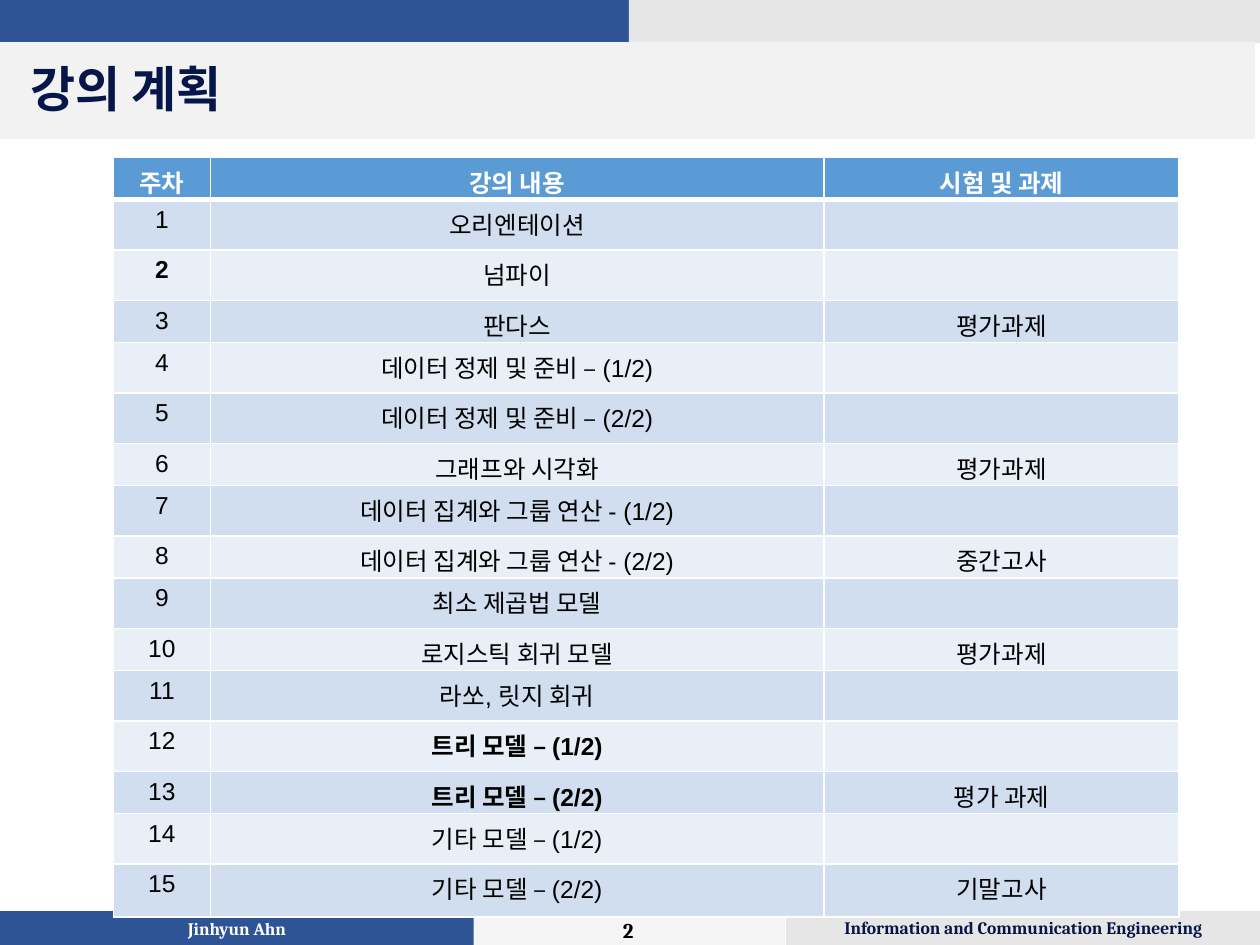
from lxml import etree
from pptx import Presentation
from pptx import util as u
from pptx.dml import color
from pptx.enum import shapes, text
from pptx.oxml import ns

# Content
TITLE = "강의 계획"
AUTHOR = "Jinhyun Ahn"
PAGE = "2"
DEPARTMENT = "Information and Communication Engineering"
HEADINGS = ("주차", "강의 내용", "시험 및 과제")
WEEKS = [  # topic, exam or assignment
    ("오리엔테이션", ""),
    ("넘파이", ""),
    ("판다스", "평가과제"),
    ("데이터 정제 및 준비 – (1/2)", ""),
    ("데이터 정제 및 준비 – (2/2)", ""),
    ("그래프와 시각화", "평가과제"),
    ("데이터 집계와 그룹 연산 - (1/2)", ""),
    ("데이터 집계와 그룹 연산 - (2/2)", "중간고사"),
    ("최소 제곱법 모델", ""),
    ("로지스틱 회귀 모델", "평가과제"),
    ("라쏘, 릿지 회귀", ""),
    ("트리 모델 – (1/2)", ""),
    ("트리 모델 – (2/2)", "평가 과제"),
    ("기타 모델 – (1/2)", ""),
    ("기타 모델 – (2/2)", "기말고사"),
]
BOLD_CELLS = {(2, 0), (12, 1), (13, 1)}  # week, column

THEME = {
    "blue": "2F5496", "grey": "E6E6E6", "pale": "F5F5F5", "band": "F2F2F2",
    "navy": "071648", "white": "FFFFFF", "black": "000000",
    "header": "5B9BD5", "rows": ("E9EFF7", "D0DEEF"),
    "display": "Cambria", "body": "Arial",
    "title_size": 28, "page_size": 12, "footer_size": 10, "table_size": 14,
}

# Layout
BARS = [  # box, fill, outlined
    ((0, 0, 4.99, 0.34), "blue", True),
    ((4.99, 0, 5.01, 0.34), "grey", False),
    ((0, 7.24, 3.76, 0.27), "blue", True),
    ((6.24, 7.23, 3.76, 0.27), "grey", False),
    ((3.76, 7.24, 2.47, 0.26), "pale", False),
    ((0, 0.34, 9.95, 0.76), "band", True),
]
MIDDLE, TOP = text.MSO_ANCHOR.MIDDLE, text.MSO_ANCHOR.TOP
LEFT, CENTER = text.PP_ALIGN.LEFT, text.PP_ALIGN.CENTER
LABELS = [  # text, box, size, colour, anchor, paragraph format
    (DEPARTMENT, (6.24, 7.23, 3.76, 0.27), "footer_size", "navy", MIDDLE,
     {"alignment": CENTER}),
    (TITLE, (0.14, 0.35, 9.86, 0.75), "title_size", "navy", MIDDLE,
     {"alignment": LEFT, "line_spacing": 0.9}),
    (PAGE, (3.86, 7.26, 2.25, 0.24), "page_size", "black", MIDDLE,
     {"alignment": CENTER}),
    (AUTHOR, (0, 7.24, 3.76, 0.27), "footer_size", "white", TOP,
     {"alignment": CENTER}),
]
TABLE_LEFT, TABLE_TOP = 0.9, 1.25
COLUMNS = (0.77, 4.87, 2.82)
ROW_HEIGHT, LAST_ROW_HEIGHT = 0.32, 0.42


def rgb(value):
    return color.RGBColor.from_string(value)


def inches(box):
    return [u.Inches(length) for length in box]


def set_all(target, values):
    for name, value in values.items():
        setattr(target, name, value)


def write(paragraph, words, font, size, colour, bold, layout):
    run = paragraph.add_run()
    run.text = words
    set_all(run.font, {"name": THEME[font], "size": u.Pt(THEME[size]), "bold": bold})
    run.font.color.rgb = rgb(THEME[colour])
    set_all(paragraph, layout)


def add_bar(slide, box, fill, outlined):
    shape = slide.shapes.add_shape(shapes.MSO_SHAPE.RECTANGLE, *inches(box))
    shape.shadow.inherit = False
    shape.fill.solid()
    shape.fill.fore_color.rgb = rgb(THEME[fill])
    if outlined:
        shape.line.color.rgb = rgb(THEME[fill])
        shape.line.width = u.Pt(1)
    else:
        shape.line.fill.background()


def add_label(slide, words, box, size, colour, anchor, layout):
    frame = slide.shapes.add_textbox(*inches(box)).text_frame
    set_all(frame, {"word_wrap": True, "vertical_anchor": anchor})
    write(frame.paragraphs[0], words, "display", size, colour, True, layout)


def add_borders(cell, bottom):
    properties = cell._tc.get_or_add_tcPr()
    for side, points in {"L": 1, "R": 1, "T": 1, "B": bottom}.items():
        line = etree.SubElement(properties, ns.qn(f"a:ln{side}"), w=str(u.Pt(points)))
        fill = etree.SubElement(line, ns.qn("a:solidFill"))
        etree.SubElement(fill, ns.qn("a:srgbClr"), val=THEME["white"])


def add_schedule(slide):
    rows = [HEADINGS] + [(str(week), *entry) for week, entry in enumerate(WEEKS, 1)]
    heights = [ROW_HEIGHT] * len(WEEKS) + [LAST_ROW_HEIGHT]
    box = (TABLE_LEFT, TABLE_TOP, sum(COLUMNS), sum(heights))
    table = slide.shapes.add_table(len(rows), len(COLUMNS), *inches(box)).table
    for column, width in zip(table.columns, COLUMNS):
        column.width = u.Inches(width)
    for week, (row, height) in enumerate(zip(rows, heights)):
        table.rows[week].height = u.Inches(height)
        heading = week == 0
        for index, words in enumerate(row):
            cell = table.cell(week, index)
            add_borders(cell, 3 if heading else 1)
            cell.fill.solid()
            cell.fill.fore_color.rgb = rgb(
                THEME["header"] if heading else THEME["rows"][week % 2])
            if words:
                write(cell.text_frame.paragraphs[0], words, "body", "table_size",
                      "white" if heading else "black",
                      heading or (week, index) in BOLD_CELLS, {"alignment": CENTER})


def main():
    presentation = Presentation()
    set_all(presentation, {"slide_width": u.Inches(10), "slide_height": u.Inches(7.5)})
    slide = presentation.slides.add_slide(presentation.slide_layouts[6])
    # Header and footer bars, then their labels
    for bar in BARS:
        add_bar(slide, *bar)
    for label in LABELS:
        add_label(slide, *label)
    # Weekly schedule
    add_schedule(slide)
    presentation.save("out.pptx")


if __name__ == "__main__":
    main()
